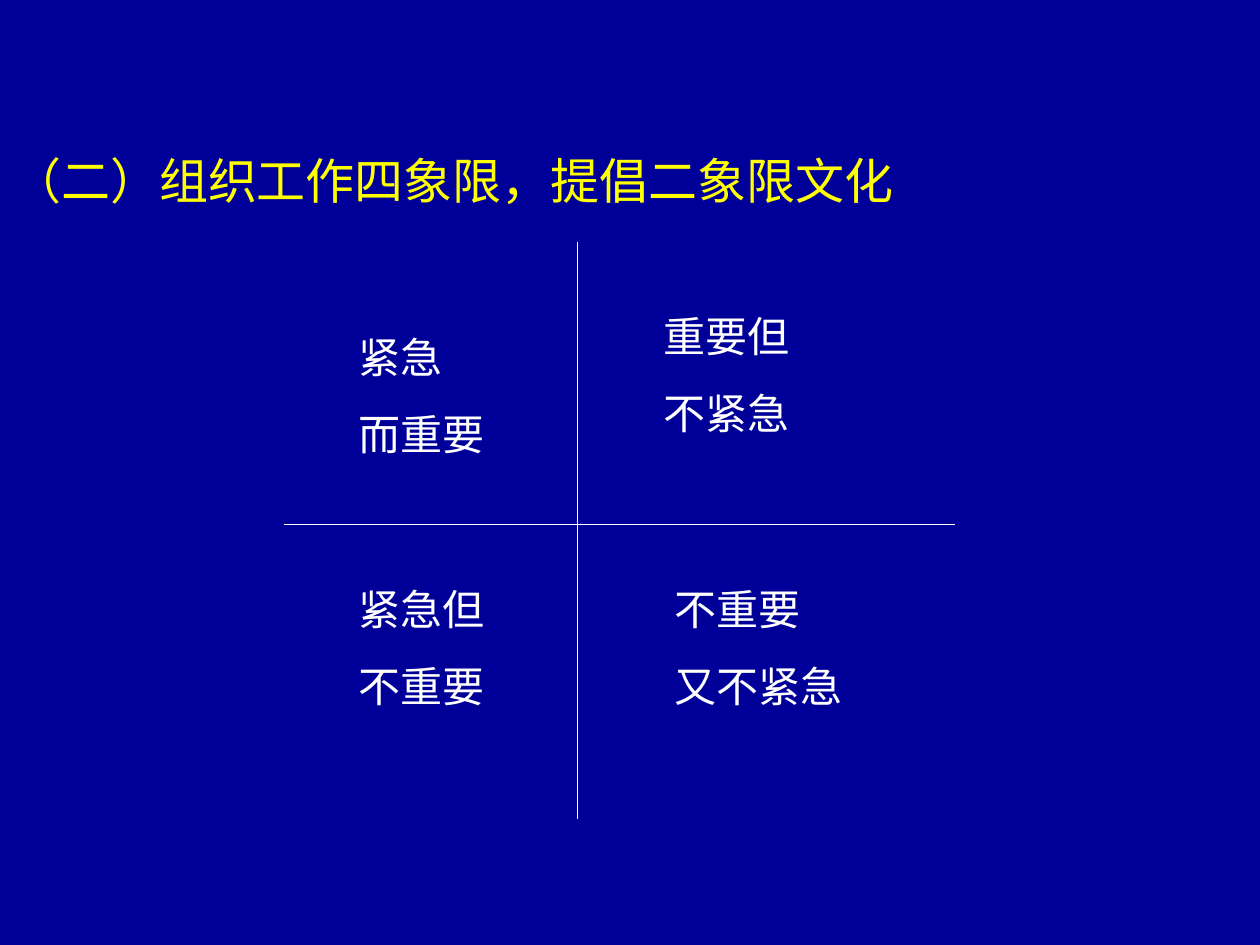
from lxml import etree
from pptx import Presentation
from pptx.dml.color import RGBColor
from pptx.enum.shapes import MSO_CONNECTOR
from pptx.enum.text import MSO_AUTO_SIZE, PP_ALIGN
from pptx.oxml.ns import qn
from pptx.util import Cm, Pt

STRAIGHT = MSO_CONNECTOR.STRAIGHT
FIT_SHAPE = MSO_AUTO_SIZE.SHAPE_TO_FIT_TEXT
NO_FIT = MSO_AUTO_SIZE.NONE
JUSTIFY = PP_ALIGN.JUSTIFY
LEFT = PP_ALIGN.LEFT

COLORS = {"background": "000099", "title": "FFFF00", "text": "FFFFFF", "axis": "FFFFFF"}
FONT = "Times New Roman"
TITLE_FONT = {"name": FONT, "size": Pt(28)}
LABEL_FONT = {"name": FONT, "size": Pt(24)}

# Quadrant labels: left, top, width in cm, then the lines
LABEL_HEIGHT = 2.82
QUADRANTS = [
    (6.98, 6.56, 3.6, ["紧急", "而重要"]),
    (13.12, 6.14, 6.14, ["重要但", "不紧急"]),
    (6.98, 11.64, 3.81, ["紧急但", "不重要"]),
    (13.34, 11.64, 7.83, ["不重要", "又不紧急"]),
]

# Axes: start x, start y, end x, end y in cm
AXES = [(5.72, 10.58, 19.26, 10.58), (11.64, 4.87, 11.64, 16.51)]


def color(key):
    return RGBColor.from_string(COLORS[key])


def add_text(slide, box, lines, font, color_key, align=LEFT, fit=FIT_SHAPE):
    sp = slide.shapes.add_textbox(*map(Cm, box))
    tf = sp.text_frame
    tf.word_wrap = True
    tf.auto_size = fit
    for i, line in enumerate(lines):
        p = tf.add_paragraph() if i else tf.paragraphs[0]
        p.alignment = align
        if i:
            p.space_before = Pt(15)
        r = p.add_run()
        r.text = line
        for name, value in font.items():
            setattr(r.font, name, value)
        r.font.color.rgb = color(color_key)


def add_axis(slide, ends):
    line = slide.shapes.add_connector(STRAIGHT, *map(Cm, ends))
    line.line.color.rgb = color("axis")
    line.line.width = Pt(0.75)
    etree.SubElement(line._element.spPr, qn("a:effectLst"))


def main():
    prs = Presentation()
    prs.slide_width, prs.slide_height = Cm(25.4), Cm(19.05)
    s = prs.slides.add_slide(prs.slide_layouts[6])
    s.background.fill.solid()
    s.background.fill.fore_color.rgb = color("background")

    # Title
    add_text(s, (0, 2.9, 25.4, 13.3), ["（二）组织工作四象限，提倡二象限文化"],
             TITLE_FONT, "title", JUSTIFY, NO_FIT)

    # Crossing axes
    for ends in AXES:
        add_axis(s, ends)

    # Quadrant labels
    for left, top, width, lines in QUADRANTS:
        add_text(s, (left, top, width, LABEL_HEIGHT), lines, LABEL_FONT, "text")

    prs.save("out.pptx")


if __name__ == "__main__":
    main()
